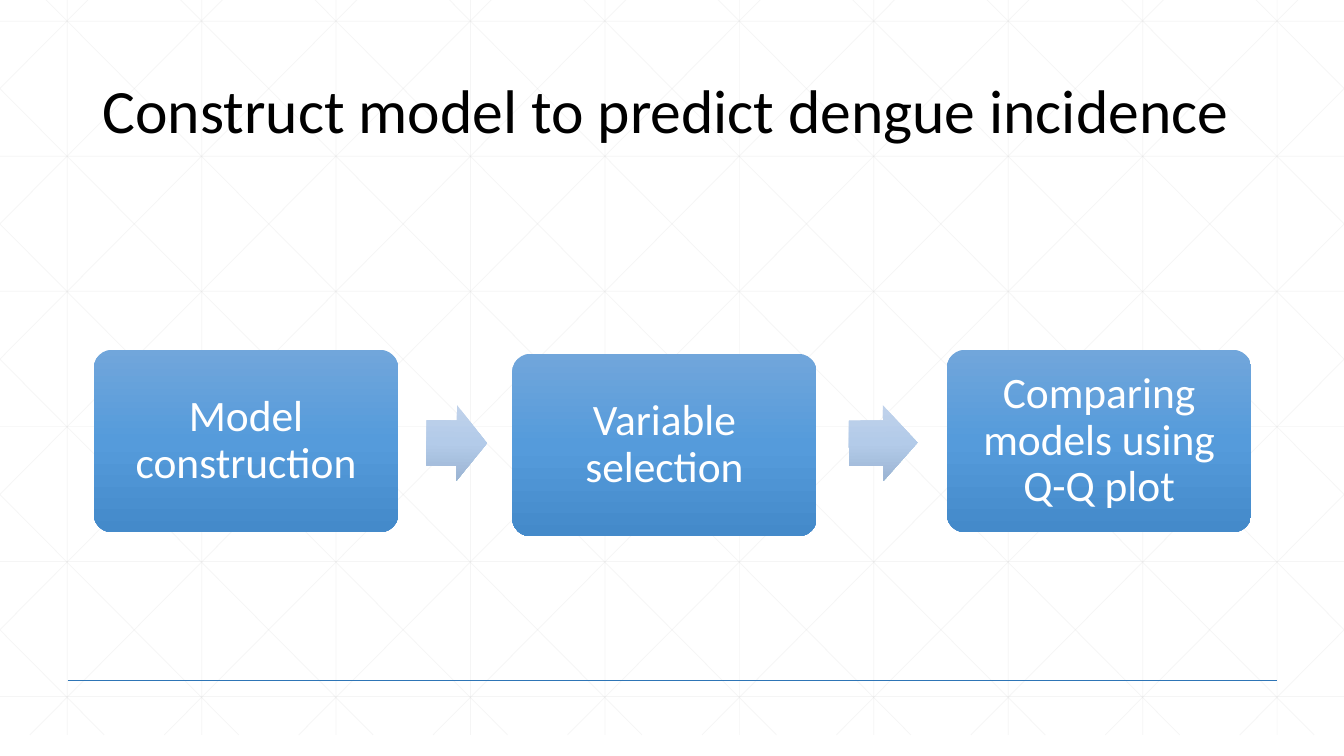
from copy import deepcopy

from lxml import etree
from pptx import Presentation
from pptx.dml.color import RGBColor
from pptx.enum.shapes import MSO_CONNECTOR, MSO_SHAPE
from pptx.enum.text import MSO_ANCHOR, PP_ALIGN
from pptx.oxml.ns import qn
from pptx.util import Inches, Pt

STRAIGHT = MSO_CONNECTOR.STRAIGHT
ROUNDED = MSO_SHAPE.ROUNDED_RECTANGLE
ARROW = MSO_SHAPE.RIGHT_ARROW
MIDDLE = MSO_ANCHOR.MIDDLE
LEFT, CENTER = PP_ALIGN.LEFT, PP_ALIGN.CENTER

BLACK = RGBColor(0x00, 0x00, 0x00)
WHITE = RGBColor(0xFF, 0xFF, 0xFF)
GRID_GREY = RGBColor(0xD9, 0xD9, 0xD9)
RULE_BLUE = RGBColor(0x2E, 0x75, 0xB6)
STEP_BLUES = (RGBColor(0x71, 0xA6, 0xDB), RGBColor(0x55, 0x9B, 0xDB), RGBColor(0x44, 0x8A, 0xCA))
ARROW_BLUES = (RGBColor(0xC0, 0xD2, 0xEB), RGBColor(0xB3, 0xCB, 0xE9), RGBColor(0x9B, 0xB4, 0xD3))

WIDTH, HEIGHT = 13.33, 7.5
GRID_TOP, GRID_BOTTOM = -0.21, 7.29
COLUMN_GAP, ROW_GAP = 4 / 3, 1.34
DIAGONAL_START, DIAGONAL_RUN = 0.25, 7.45


class Slide:
    font = "Calibri"
    line_spacing = 0.9

    def __init__(self, deck):
        self.page = deck.slides.add_slide(deck.slide_layouts[6])

    def line(self, start, end, color, weight, opacity=100):
        points = [Inches(value) for value in (*start, *end)]
        line = self.page.shapes.add_connector(STRAIGHT, *points)
        line.line.color.rgb = color
        line.line.width = Pt(weight)
        properties = line._element.spPr
        etree.SubElement(properties, qn("a:effectLst"))
        if opacity < 100:
            tint = properties.find(".//" + qn("a:srgbClr"))
            etree.SubElement(tint, qn("a:alpha")).set("val", str(opacity * 1000))

    def set_text(self, box, text, size, color, align, margin):
        frame = box.text_frame
        frame.word_wrap = True
        frame.vertical_anchor = MIDDLE
        frame.margin_left = frame.margin_right = Inches(margin)
        frame.margin_top = frame.margin_bottom = Inches(margin)
        para = frame.paragraphs[0]
        para.text = text
        para.alignment = align
        para.line_spacing = self.line_spacing
        para.font.name = self.font
        para.font.size = Pt(size)
        para.font.color.rgb = color

    def title(self, text, *place):
        box = self.page.shapes.add_textbox(*map(Inches, place))
        self.set_text(box, text, 44, BLACK, LEFT, 0.1)

    def gradient_shape(self, kind, place, adjustments, colors):
        shape = self.page.shapes.add_shape(kind, *map(Inches, place))
        for index, value in enumerate(adjustments):
            shape.adjustments[index] = value
        shape.shadow.inherit = False
        shape.line.fill.background()
        shape.fill.gradient()
        shape.fill.gradient_angle = 270
        stop_list = shape._element.spPr.find(".//" + qn("a:gsLst"))
        stop_list.insert(1, deepcopy(stop_list[0]))
        for index, (stop, color) in enumerate(zip(shape.fill.gradient_stops, colors)):
            stop.position = index / 2
            stop.color.rgb = color
        return shape

    def step(self, text, left, top):
        box = self.gradient_shape(ROUNDED, (left, top, 3.02, 1.81), [0.1], STEP_BLUES)
        self.set_text(box, text, 31, WHITE, CENTER, 0.13)

    def arrow(self, left, width, rotation):
        arrow = self.gradient_shape(ARROW, (left, 4.02, width, 0.75), [0.6, 0.5], ARROW_BLUES)
        arrow.rotation = rotation

    def grid_line(self, start, end):
        self.line(start, end, GRID_GREY, 0.5, 25)

    def grid(self):
        for column in range(10):
            x = COLUMN_GAP * (column + 0.5)
            self.grid_line((x, GRID_TOP), (x, GRID_BOTTOM))
        for row in range(6):
            y = 0.21 + ROW_GAP * row
            self.grid_line((0, y), (WIDTH, y))
        slope = (GRID_BOTTOM - GRID_TOP) / DIAGONAL_RUN
        for diagonal in range(-5, 10):
            origin = DIAGONAL_START + COLUMN_GAP * diagonal
            left, right = max(origin, 0), min(origin + DIAGONAL_RUN, WIDTH)
            top, bottom = (GRID_TOP + slope * (x - origin) for x in (left, right))
            self.grid_line((left, top), (right, bottom))
            self.grid_line((WIDTH - left, top), (WIDTH - right, bottom))


def main():
    deck = Presentation()
    deck.slide_width, deck.slide_height = Inches(WIDTH), Inches(HEIGHT)
    slide = Slide(deck)
    slide.grid()
    slide.line((0.67, 6.75), (12.67, 6.75), RULE_BLUE, 1)
    slide.title("Construct model to predict dengue incidence", 0.92, 0.4, 11.5, 1.45)
    slide.step("Model construction", 0.93, 3.47)
    slide.arrow(4.23, 0.6, 0.5)
    slide.step("Variable selection", 5.08, 3.51)
    slide.arrow(8.42, 0.68, 359.5)
    slide.step("Comparing models using Q-Q plot", 9.39, 3.47)
    deck.save("out.pptx")


if __name__ == "__main__":
    main()
